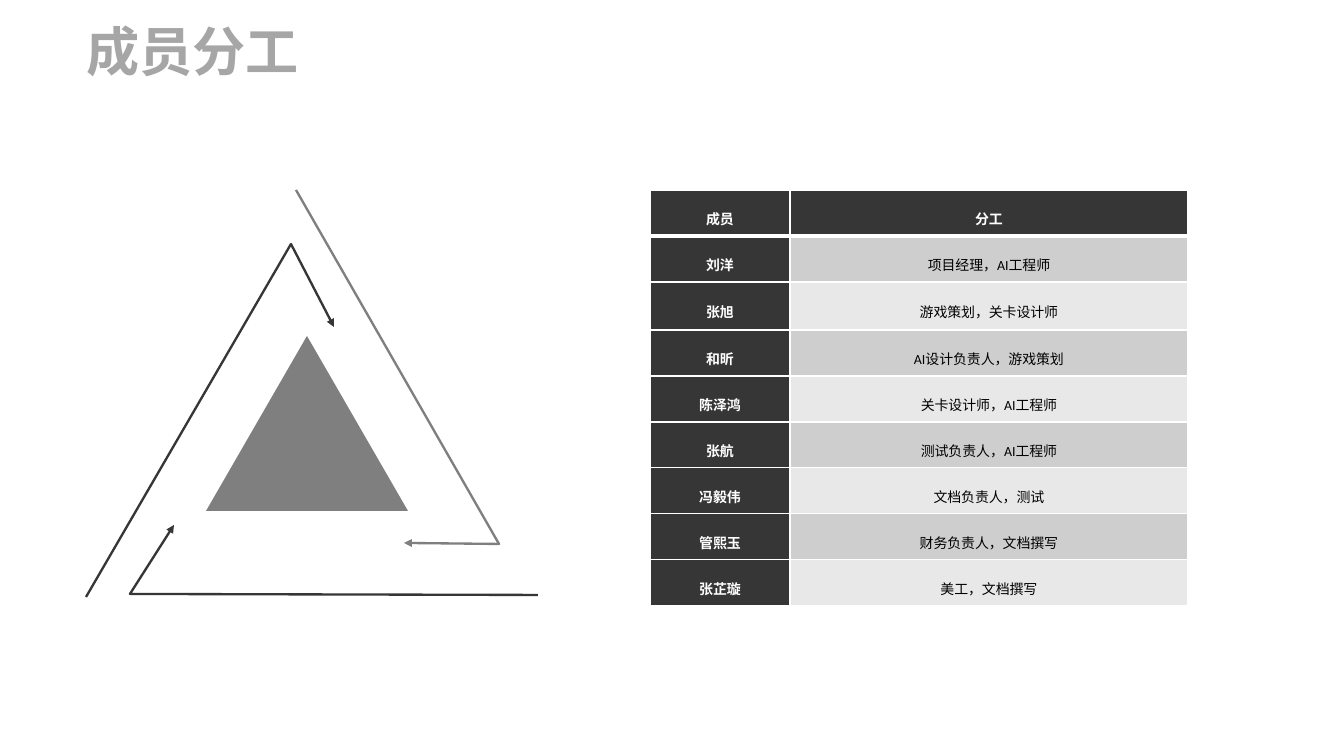
from lxml.etree import SubElement
from pptx import Presentation
from pptx.dml.color import RGBColor
from pptx.enum.shapes import MSO_SHAPE
from pptx.enum.text import MSO_ANCHOR, MSO_AUTO_SIZE, PP_ALIGN
from pptx.oxml.ns import qn
from pptx.util import Pt

PX = 9565
COLORS = {
    "title": "A6A6A6", "dark": "363636", "gray": "7F7F7F", "band": "CECECE",
    "pale": "E8E8E8", "white": "FFFFFF", "black": "000000",
}
MEMBERS = [
    ("成员", "分工"),
    ("刘洋", "项目经理，AI工程师"),
    ("张旭", "游戏策划，关卡设计师"),
    ("和昕", "AI设计负责人，游戏策划"),
    ("陈泽鸿", "关卡设计师，AI工程师"),
    ("张航", "测试负责人，AI工程师"),
    ("冯毅伟", "文档负责人，测试"),
    ("管熙玉", "财务负责人，文档撰写"),
    ("张芷璇", "美工，文档撰写"),
]
ARROWS = [
    ("gray", [(296, 190), (499, 544), (404, 543)]),
    ("dark", [(86, 597), (291, 244), (334, 327)]),
    ("dark", [(538, 595), (130, 594), (174, 525)]),
]


def px(*sizes):
    return [size * PX for size in sizes]


def rgb(name):
    return RGBColor.from_string(COLORS[name])


def add_run(para, text, font, size, color, bold):
    run = para.add_run()
    run.text = text
    run.font.name = font
    run.font.size = Pt(size)
    run.font.bold = bold
    run.font.color.rgb = rgb(color)


def add_title(slide, text):
    frame = slide.shapes.add_textbox(*px(86, 18, 293, 64)).text_frame
    frame.word_wrap = True
    frame.auto_size = MSO_AUTO_SIZE.SHAPE_TO_FIT_TEXT
    frame.vertical_anchor = MSO_ANCHOR.MIDDLE
    frame.margin_left = frame.margin_right = 0
    frame.margin_top = frame.margin_bottom = 0
    add_run(frame.paragraphs[0], text, "Arial", 40, "title", True)


def add_core(slide):
    """Draw the solid triangle that the arrows circle."""
    core = slide.shapes.add_shape(
        MSO_SHAPE.ISOSCELES_TRIANGLE, *px(206, 336, 202, 175))
    core.shadow.inherit = False
    core.fill.solid()
    core.fill.fore_color.rgb = rgb("gray")
    core.line.fill.background()


def add_arrow(slide, color, points):
    """Draw an open bent line with an arrowhead at its last point."""
    start, *rest = points
    builder = slide.shapes.build_freeform(*start, scale=PX)
    builder.add_line_segments(rest, close=False)
    arrow = builder.convert_to_shape()
    arrow.shadow.inherit = False
    arrow.fill.background()
    arrow.line.color.rgb = rgb(color)
    arrow.line.width = Pt(1.75)
    SubElement(arrow.line._get_or_add_ln(), qn("a:tailEnd"), type="triangle")


def add_edges(cell, head):
    """Give a cell white borders, thicker where the header meets the body."""
    props = cell._tc.get_or_add_tcPr()
    for side in ("L", "R", "T", "B"):
        width = 3 if head and side == "B" else 1
        edge = SubElement(props, qn(f"a:ln{side}"), w=str(Pt(width)))
        fill = SubElement(edge, qn("a:solidFill"))
        SubElement(fill, qn("a:srgbClr"), val=COLORS["white"])


def fill_cell(cell, text, fill, color, bold, head):
    add_edges(cell, head)
    cell.fill.solid()
    cell.fill.fore_color.rgb = rgb(fill)
    cell.vertical_anchor = MSO_ANCHOR.MIDDLE
    cell.margin_left = cell.margin_right = 7 * PX
    cell.margin_top = cell.margin_bottom = 0
    para = cell.text_frame.paragraphs[0]
    para.alignment = PP_ALIGN.CENTER
    para.line_spacing = 1.5
    add_run(para, text, "Calibri", 10.5, color, bold)


def add_roles(slide, members):
    table = slide.shapes.add_table(
        len(members), 2, *px(650, 190, 538, 416)).table
    for col, width in zip(table.columns, px(140, 398)):
        col.width = width
    for row, pair in enumerate(members):
        table.rows[row].height = (48 if row == 2 else 46) * PX
        for col, text in enumerate(pair):
            head = row == 0
            if head or col == 0:
                style = "dark", "white", True
            else:
                style = "band" if row % 2 else "pale", "black", False
            fill_cell(table.cell(row, col), text, *style, head)


def main():
    deck = Presentation()
    deck.slide_width, deck.slide_height = px(1344, 756)
    slide = deck.slides.add_slide(deck.slide_layouts[6])
    add_title(slide, "成员分工")
    add_roles(slide, MEMBERS)
    add_core(slide)
    for color, points in ARROWS:
        add_arrow(slide, color, points)
    deck.save("out.pptx")


if __name__ == "__main__":
    main()
